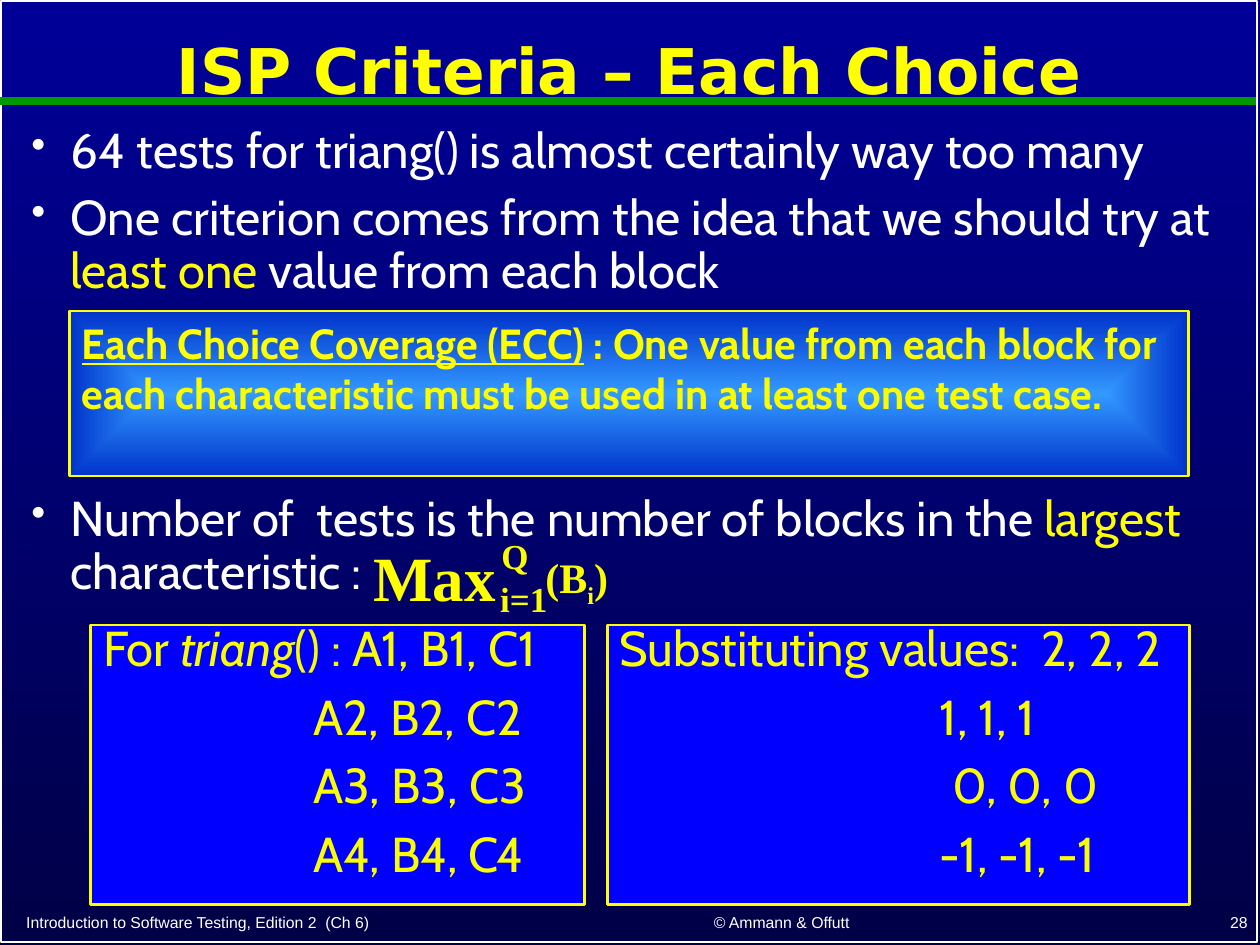
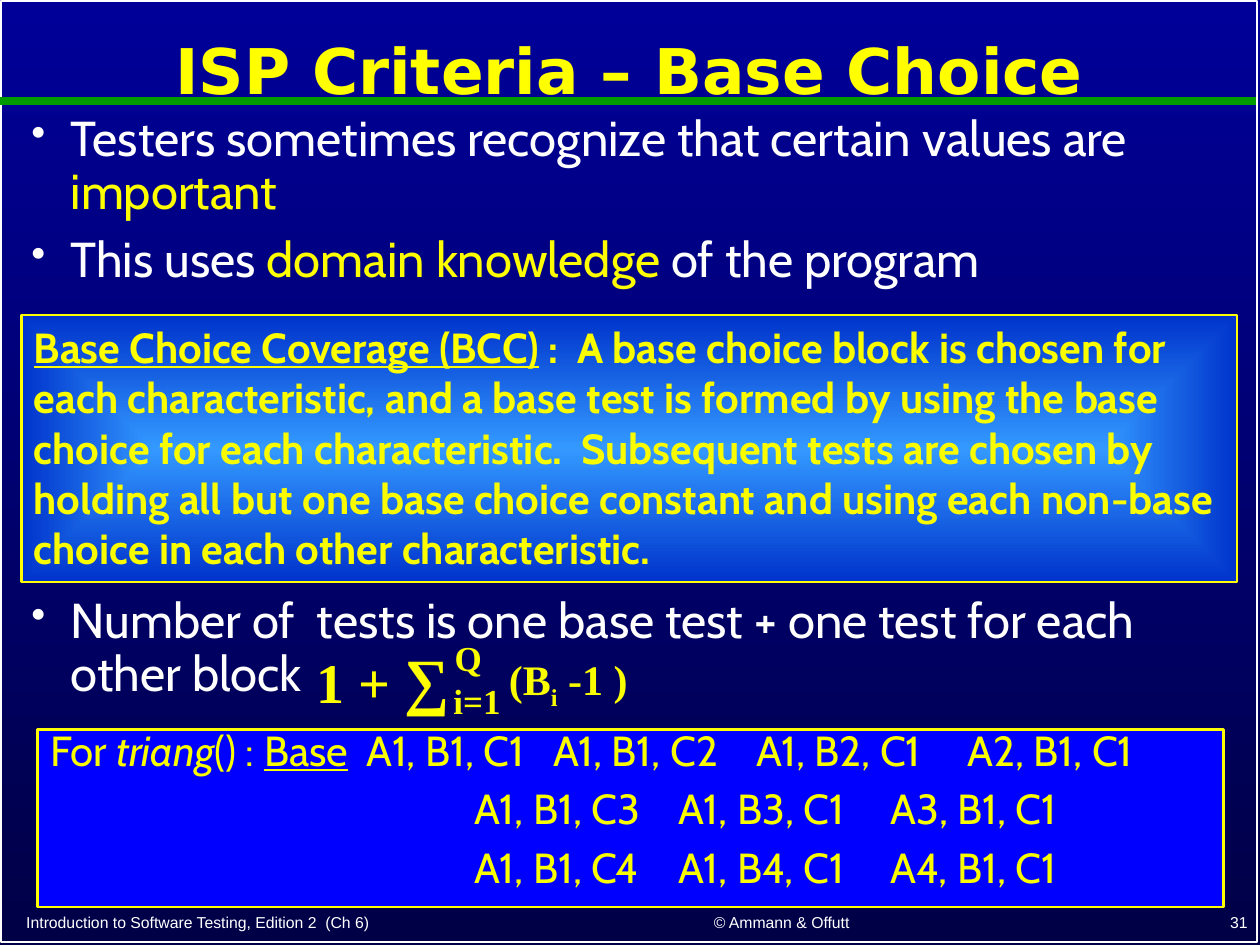
import pptx
import pptx.dml.color
import pptx.enum.shapes
import pptx.enum.text
import pptx.oxml.ns
import pptx.util
from lxml import etree

Pt = pptx.util.Pt
qn = pptx.oxml.ns.qn
ALIGN = pptx.enum.text.PP_ALIGN
ANCHOR = pptx.enum.text.MSO_ANCHOR
RECTANGLE = pptx.enum.shapes.MSO_SHAPE.RECTANGLE
STRAIGHT = pptx.enum.shapes.MSO_CONNECTOR.STRAIGHT

COLORS = {
    "sky_top": "000099",
    "sky_bottom": "000047",
    "frame": "FFFFFF",
    "rule": "009900",
    "text": "FFFFFF",
    "accent": "FFFF00",
    "example": "FAFD00",
    "panel": "0000FF",
    "glow": "3399FF",
    "glow_edge": "0033CC",
}
TITLE_FONT = "DejaVu Sans"
BODY_FONT = "Cabin"
FORMULA_FONT = "Times New Roman"
FOOTER_FONT = "Arial"
BOOK = "Introduction to Software Testing, Edition 2  (Ch 6)"
AUTHORS = "© Ammann & Offutt"
BULLET_INDENT = Pt(22.5)


def rgb(name):
    return pptx.dml.color.RGBColor.from_string(COLORS[name])


def color_stops(fill, names):
    fill.gradient()
    for stop, name in zip(fill.gradient_stops, names):
        stop.color.rgb = rgb(name)


def style_span(span, font, size, color, bold=False, italic=False,
               underline=False, baseline=None):
    span.font.name = font
    span.font.size = Pt(size)
    span.font.bold = bold
    span.font.italic = italic
    span.font.underline = underline
    span.font.color.rgb = rgb(color)
    if baseline:
        span.font._element.set("baseline", str(baseline))


def write_para(para, spans, font, size, color, align=ALIGN.LEFT,
               line=1.0, before=0.0, **style):
    para.alignment = align
    para.line_spacing = line
    para.space_before = Pt(size * before)
    for number, item in enumerate(spans):
        text, changes = item if isinstance(item, tuple) else (item, {})
        if number == 0:
            para.text = text
            span = para.runs[0]
        else:
            span = para.add_run()
            span.text = text
        base = {"font": font, "size": size, "color": color, **style}
        style_span(span, **{**base, **changes})


def write_paras(frame, paras, anchor=ANCHOR.TOP, **style):
    frame.word_wrap = True
    frame.vertical_anchor = anchor
    for number, spans in enumerate(paras):
        para = frame.add_paragraph() if number else frame.paragraphs[0]
        write_para(para, spans, **style)


def add_text(shapes, area, paras, **style):
    box = shapes.add_textbox(*map(Pt, area))
    write_paras(box.text_frame, paras, **style)
    return box


def add_rectangle(page, area, line, width):
    box = page.shapes.add_shape(RECTANGLE, *map(Pt, area))
    box.shadow.inherit = False
    box.fill.background()
    box.line.color.rgb = rgb(line)
    box.line.width = Pt(width)
    return box


def add_bullets(page, area, paras):
    box = add_text(page.shapes, area, paras, font=BODY_FONT, size=28,
                   color="text", line=0.9, before=0.3)
    for para in box.text_frame.paragraphs:
        props = para._p.get_or_add_pPr()
        props.set("marL", str(BULLET_INDENT))
        props.set("indent", str(-BULLET_INDENT))
        etree.SubElement(props, qn("a:buSzPct")).set("val", "85000")
        etree.SubElement(props, qn("a:buChar")).set("char", "•")


def add_definition(page, area, term, colon, meaning):
    box = add_rectangle(page, area, "accent", 1.5)
    color_stops(box.fill, ("glow", "glow_edge"))
    gradient = box.element.spPr.find(qn("a:gradFill"))
    gradient.remove(gradient.find(qn("a:lin")))
    shade = etree.SubElement(gradient, qn("a:path"))
    shade.set("path", "shape")
    center = etree.SubElement(shade, qn("a:fillToRect"))
    for side in "ltrb":
        center.set(side, "50000")
    spans = [(term, {"underline": True}), colon, (meaning, {"color": "example"})]
    write_paras(box.text_frame, [spans], font=BODY_FONT, size=24,
                color="accent", bold=True)


def add_example(page, area, size, rows):
    box = add_rectangle(page, area, "accent", 1.5)
    box.fill.solid()
    box.fill.fore_color.rgb = rgb("panel")
    write_paras(box.text_frame, [spans for spans, _ in rows], font=BODY_FONT,
                size=size, color="example", line=0.75, before=0.5)
    for para, (_, stops) in zip(box.text_frame.paragraphs, rows):
        if stops:
            tabs = etree.SubElement(para._p.get_or_add_pPr(), qn("a:tabLst"))
            for stop in stops:
                tab = etree.SubElement(tabs, qn("a:tab"))
                tab.set("pos", str(int(Pt(stop))))
                tab.set("algn", "l")


def add_formula(page, left, top, operator, argument_gap, closing):
    shapes = page.shapes.add_group_shape().shapes
    style = {"font": FORMULA_FONT, "color": "example", "bold": True}
    add_text(shapes, (left - 84, top + 2.5, 95, 50), [operator],
             **{**style, "size": 36, "color": "accent", "align": ALIGN.RIGHT})
    add_text(shapes, (left, top, 30, 31), [["Q"]], size=20, **style)
    add_text(shapes, (left - 0.7, top + 24.5, 46, 31), [["i=1"]], size=20, **style)
    add_text(shapes, (left + argument_gap, top + 10, 86, 36),
             [["(B", ("i", {"baseline": -25000}), closing]], size=24, **style)


def add_page(deck, title, number):
    page = deck.slides.add_slide(deck.slide_layouts[6])
    color_stops(page.background.fill, ("sky_top", "sky_bottom"))
    page.background.fill.gradient_angle = 270
    add_rectangle(page, (0.7, 0.7, 717.8, 537.8), "frame", 1)
    rule = page.shapes.add_connector(STRAIGHT, Pt(0), Pt(57.6), Pt(717.8), Pt(57.6))
    rule.line.color.rgb = rgb("rule")
    rule.line.width = Pt(4.5)
    etree.SubElement(rule.element.spPr, qn("a:effectLst"))
    add_text(page.shapes, (0.7, 7.9, 717.8, 68.4), [[title]], anchor=ANCHOR.MIDDLE,
             font=TITLE_FONT, size=36, color="accent", bold=True,
             align=ALIGN.CENTER, line=0.9)
    footers = [
        (7.9, 517, 310.3, 18.7, BOOK, ALIGN.LEFT),
        (332.6, 516.2, 228.2, 19.5, AUTHORS, ALIGN.CENTER),
        (570.2, 515.5, 149.8, 20.2, str(number), ALIGN.RIGHT),
    ]
    for *area, text, align in footers:
        add_text(page.shapes, area, [[text]], anchor=ANCHOR.BOTTOM,
                 font=FOOTER_FONT, size=9, color="text", align=align)
    return page


def build_each_choice(deck):
    yellow = {"color": "accent"}
    page = add_page(deck, "ISP Criteria – Each Choice", 28)
    add_bullets(page, (10.8, 68.4, 698.4, 109.4), [
        ["64 tests for triang() is almost certainly way too many"],
        ["One criterion comes from the idea that we should try at ",
         ("least one", yellow), " value from each block"],
    ])
    add_definition(
        page, (39.6, 177.8, 639.4, 94.3), "Each Choice Coverage (ECC)", " : ",
        "One value from each block for each characteristic must be used "
        "in at least one test case.")
    add_bullets(page, (10.8, 278.6, 698.4, 75.6), [
        ["Number of  tests is the number of blocks in the ",
         ("largest ", yellow), "characteristic :"],
    ])
    add_formula(page, 279.4, 301.7, ["Max"], 25.2, ")")
    tests = [([f"\tA{n}, B{n}, C{n}"], [120]) for n in range(2, 5)]
    add_example(page, (51.8, 357.1, 282.2, 159.8), 28, [
        (["For ", ("triang", {"italic": True}), "() : A1, B1, C1"], []), *tests])
    add_example(page, (347, 357.1, 332.6, 159.8), 28, [
        (["Substituting values:  2, 2, 2"], []),
        (["\t1, 1, 1"], [183]),
        (["\t0, 0, 0"], [190]),
        (["\t-1, -1, -1"], [183]),
    ])


def build_base_choice(deck):
    yellow = {"color": "accent"}
    page = add_page(deck, "ISP Criteria – Base Choice", 31)
    add_bullets(page, (10.8, 61.9, 698.4, 113), [
        ["Testers sometimes recognize that certain values are ",
         ("important", yellow)],
        ["This uses ", ("domain knowledge", yellow), " of the program"],
    ])
    add_definition(
        page, (12.2, 180, 694.8, 152.6), "Base Choice Coverage (BCC)", " :  ",
        "A base choice block is chosen for each characteristic, and a base test "
        "is formed by using the base choice for each characteristic.  Subsequent "
        "tests are chosen by holding all but one base choice constant and using "
        "each non-base choice in each other characteristic.")
    add_bullets(page, (10.8, 337, 698.4, 33.1), [
        ["Number of  tests is one base test + one test for each other block"],
    ])
    add_formula(page, 252.7, 360, [("1 + ", {"size": 32}), "∑"], 31, " -1 )")
    variants = [
        ([f"\tA1, B1, C{n}\tA1, B{n}, C1\tA{n}, B1, C1"], [242.5, 359, 480])
        for n in (3, 4)
    ]
    add_example(page, (21.6, 416.9, 677.5, 101.5), 24, [
        (["For ", ("triang", {"italic": True}), "() : ",
          ("Base", {"underline": True}),
          "\tA1, B1, C1\tA1, B1, C2\tA1, B2, C1\tA2, B1, C1"],
         [181, 287.5, 403.5, 524]),
        *variants,
    ])


def main():
    deck = pptx.Presentation()
    deck.slide_width = Pt(720)
    deck.slide_height = Pt(540)
    build_each_choice(deck)
    build_base_choice(deck)
    deck.save("out.pptx")


if __name__ == "__main__":
    main()
